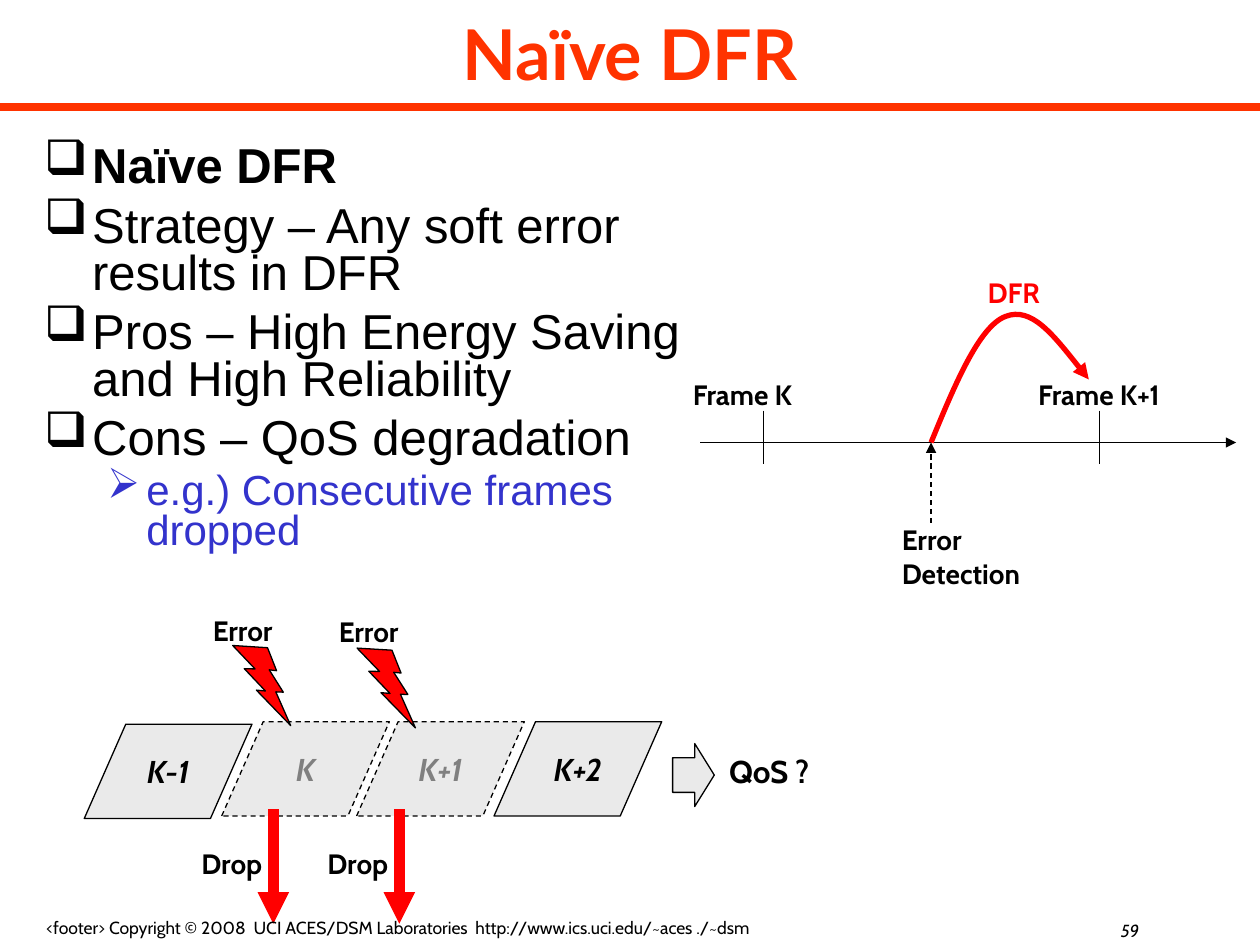
from dataclasses import dataclass

import pptx
import pptx.dml.color
import pptx.enum.dml
import pptx.enum.shapes
import pptx.enum.text
import pptx.oxml
import pptx.oxml.ns
import pptx.util

Cm = pptx.util.Cm
Pt = pptx.util.Pt
RGB = pptx.dml.color.RGBColor
qn = pptx.oxml.ns.qn
Align = pptx.enum.text.PP_ALIGN
Anchor = pptx.enum.text.MSO_ANCHOR
Kind = pptx.enum.shapes.MSO_SHAPE

BLACK = RGB(0x00, 0x00, 0x00)
RED = RGB(0xFF, 0x00, 0x00)
ORANGE = RGB(0xFF, 0x33, 0x00)
BLUE = RGB(0x33, 0x33, 0xCC)
PALE = RGB(0xEA, 0xEA, 0xEA)
GRAY = RGB(0x80, 0x80, 0x80)


@dataclass
class Label:
    text: str
    left: float
    top: float
    width: float
    height: float = 0.94
    size: float = 16
    color: RGB = BLACK
    bold: bool = True
    slant: bool = False
    align: Align = Align.LEFT
    wrap: bool = False


@dataclass
class Line:
    start: tuple[float, float]
    end: tuple[float, float]
    color: RGB = BLACK
    width: float = 0.75
    arrow: bool = False
    dash: bool = False


@dataclass
class Frame:
    text: str
    left: float
    top: float
    lost: bool = False


@dataclass
class Item:
    text: str
    level: int = 0
    bold: bool = False


@dataclass
class Style:
    mark: str
    size: float
    color: RGB
    left: float
    hang: float
    gap: float


STYLES = [
    Style("❑", 28, BLACK, 0.97, 0.97, 7),
    Style("➢", 24, BLUE, 2.06, 0.79, 4.5),
]

ITEMS = [
    Item("Naïve DFR", bold=True),
    Item("Strategy – Any soft error results in DFR"),
    Item("Pros – High Energy Saving and High Reliability"),
    Item("Cons – QoS degradation"),
    Item("e.g.) Consecutive frames dropped", level=1),
]

AXIS = 8.92
HIT = 18.77
DROPS = (5.51, 8.05)

LINES = [
    Line((0, 2.16), (25.4, 2.16), ORANGE, 4.5),
    Line((14.12, AXIS), (24.92, AXIS), arrow=True),
    *[Line((x, 8.28), (x, 9.35)) for x in (15.39, 22.17)],
    Line((HIT, 10.54), (HIT, AXIS), arrow=True, dash=True),
]

FRAMES = [
    Frame("K-1", 1.7, 14.6),
    Frame("K", 4.47, 14.55, lost=True),
    Frame("K+1", 7.19, 14.55, lost=True),
    Frame("K+2", 9.96, 14.55),
]

LABELS = [
    Label("Error\nDetection", 17.93, 10.41, 3.25, 1.63),
    Label("Frame K", 13.72, 7.49, 2.82),
    Label("Frame K+1", 20.68, 7.49, 3.45),
    Label("DFR", 19.66, 5.44, 1.6, color=RED),
    Label("Error", 4.04, 12.24, 1.93),
    Label("Error", 6.58, 12.27, 1.93),
    *[Label("Drop", x - 1.7, 16.94, 1.88) for x in DROPS],
    Label("QoS ?", 14.45, 15.04, 2.21, 1.02, 18),
    Label("<footer> Copyright © 2008  UCI ACES/DSM Laboratories  "
          "http://www.ics.uci.edu/~aces ./~dsm", 0, 18.36, 16.03, 0.69, 10,
          bold=False, align=Align.CENTER, wrap=True),
    Label("59", 16.89, 18.42, 6.32, 0.74, 10, bold=False, slant=True,
          align=Align.RIGHT, wrap=True),
]

CURVE = [(HIT, AXIS), (19.25, 7.75), (19.74, 6.58), (20.27, 6.38),
         (20.8, 6.17), (21.36, 6.91), (21.95, 7.65)]


def set_font(part, name: str, size: float, color: RGB,
             bold: bool = False, slant: bool = False) -> None:
    for run in part.runs:
        font = run.font
        font.name, font.size = name, Pt(size)
        font.bold, font.italic = bold, slant
        font.color.rgb = color


def add_head(shape) -> None:
    ln = shape._element.spPr.find(qn("a:ln"))
    pptx.oxml.ns.qn
    tail = ln.makeelement(qn("a:tailEnd"), {"type": "triangle"})
    ln.append(tail)


def set_line(shape, color: RGB, width: float, dash: bool = False) -> None:
    shape.line.color.rgb = color
    shape.line.width = Pt(width)
    if dash:
        shape.line.dash_style = pptx.enum.dml.MSO_LINE.DASH


def draw_line(slide, line: Line) -> None:
    ends = [Cm(v) for v in (*line.start, *line.end)]
    shape = slide.shapes.add_connector(
        pptx.enum.shapes.MSO_CONNECTOR.STRAIGHT, *ends)
    set_line(shape, line.color, line.width, line.dash)
    if line.arrow:
        add_head(shape)
    props = shape._element.spPr
    props.append(props.makeelement(qn("a:effectLst"), {}))


def draw_shape(slide, kind: Kind, box: tuple, fill: RGB, dash: bool = False):
    shape = slide.shapes.add_shape(kind, *[Cm(v) for v in box])
    shape.shadow.inherit = False
    shape.fill.solid()
    shape.fill.fore_color.rgb = fill
    set_line(shape, BLACK, 0.75, dash)
    return shape


def draw_frame(slide, frame: Frame) -> None:
    box = (frame.left, frame.top, 3.38, 1.9)
    shape = draw_shape(slide, Kind.PARALLELOGRAM, box, PALE, frame.lost)
    shape.adjustments[0] = 0.44
    text = shape.text_frame
    text.text = frame.text
    text.word_wrap = False
    text.vertical_anchor = Anchor.MIDDLE
    part = text.paragraphs[0]
    part.alignment = Align.CENTER
    set_font(part, "Cabin", 18, GRAY if frame.lost else BLACK, True, True)


def draw_label(slide, label: Label) -> None:
    box = (label.left, label.top, label.width, label.height)
    text = slide.shapes.add_textbox(*[Cm(v) for v in box]).text_frame
    text.text = label.text
    text.word_wrap = label.wrap
    for part in text.paragraphs:
        part.alignment = label.align
        set_font(part, "Cabin", label.size, label.color,
                 label.bold, label.slant)


def draw_curve(slide) -> None:
    points = [(Cm(x), Cm(y)) for x, y in CURVE]
    form = slide.shapes.build_freeform(*points[0])
    form.add_line_segments(points[1:], close=False)
    shape = form.convert_to_shape()
    shape.shadow.inherit = False
    shape.fill.background()
    set_line(shape, RED, 3)
    add_head(shape)
    route = next(shape._element.iter(qn("a:path")))
    route.set("fill", "none")
    steps = route.findall(qn("a:lnTo"))
    for first in range(0, len(steps), 3):
        bend = route.makeelement(qn("a:cubicBezTo"), {})
        for step in steps[first:first + 3]:
            bend.append(step[0])
            route.remove(step)
        route.append(bend)


def add_mark(part, style: Style) -> None:
    props = part._p.get_or_add_pPr()
    props.set("marL", str(Cm(style.left)))
    props.set("indent", str(-Cm(style.hang)))
    tint = props.makeelement(qn("a:buClr"), {})
    tint.append(tint.makeelement(qn("a:srgbClr"), {"val": str(style.color)}))
    props.append(tint)
    props.append(props.makeelement(qn("a:buChar"), {"char": style.mark}))


def draw_list(slide) -> None:
    box = slide.shapes.add_textbox(Cm(0.64), Cm(2.82), Cm(14.05), Cm(9.35))
    text = box.text_frame
    text.word_wrap = True
    text.text = "\n".join(item.text for item in ITEMS)
    for rank, (part, item) in enumerate(zip(text.paragraphs, ITEMS)):
        style = STYLES[item.level]
        part.level = item.level
        add_mark(part, style)
        part.line_spacing = 0.8
        if rank:
            part.space_before = Pt(style.gap)
        set_font(part, "Arial", style.size, style.color, item.bold)


def draw_title(slide) -> None:
    title = slide.shapes.title
    title.left, title.top = Cm(0), Cm(0)
    title.width, title.height = Cm(25.4), Cm(2.13)
    text = title.text_frame
    text.text = "Naïve DFR"
    text.vertical_anchor = Anchor.MIDDLE
    part = text.paragraphs[0]
    part.alignment = Align.CENTER
    set_font(part, "Lato", 40, ORANGE, True)


def main() -> None:
    deck = pptx.Presentation()
    deck.slide_width, deck.slide_height = Cm(25.4), Cm(19.05)
    slide = deck.slides.add_slide(deck.slide_layouts[5])
    draw_title(slide)
    draw_list(slide)
    for line in LINES:
        draw_line(slide, line)
    draw_curve(slide)
    for frame in FRAMES:
        draw_frame(slide, frame)
    for left, top, turn in ((4.47, 13.08, 22.6), (6.98, 13.13, 22.3)):
        bolt = draw_shape(slide, Kind.LIGHTNING_BOLT,
                          (left, top, 1.7, 1.27), RED)
        bolt.rotation = turn
    arrow = draw_shape(slide, Kind.RIGHT_ARROW,
                       (13.56, 14.99, 0.84, 1.27), PALE)
    arrow.adjustments[0], arrow.adjustments[1] = 0.55, 0.47
    for x in DROPS:
        draw_line(slide, Line((x, 16.31), (x, 18.62), RED, 6, arrow=True))
    for label in LABELS:
        draw_label(slide, label)
    deck.save("out.pptx")


if __name__ == "__main__":
    main()
